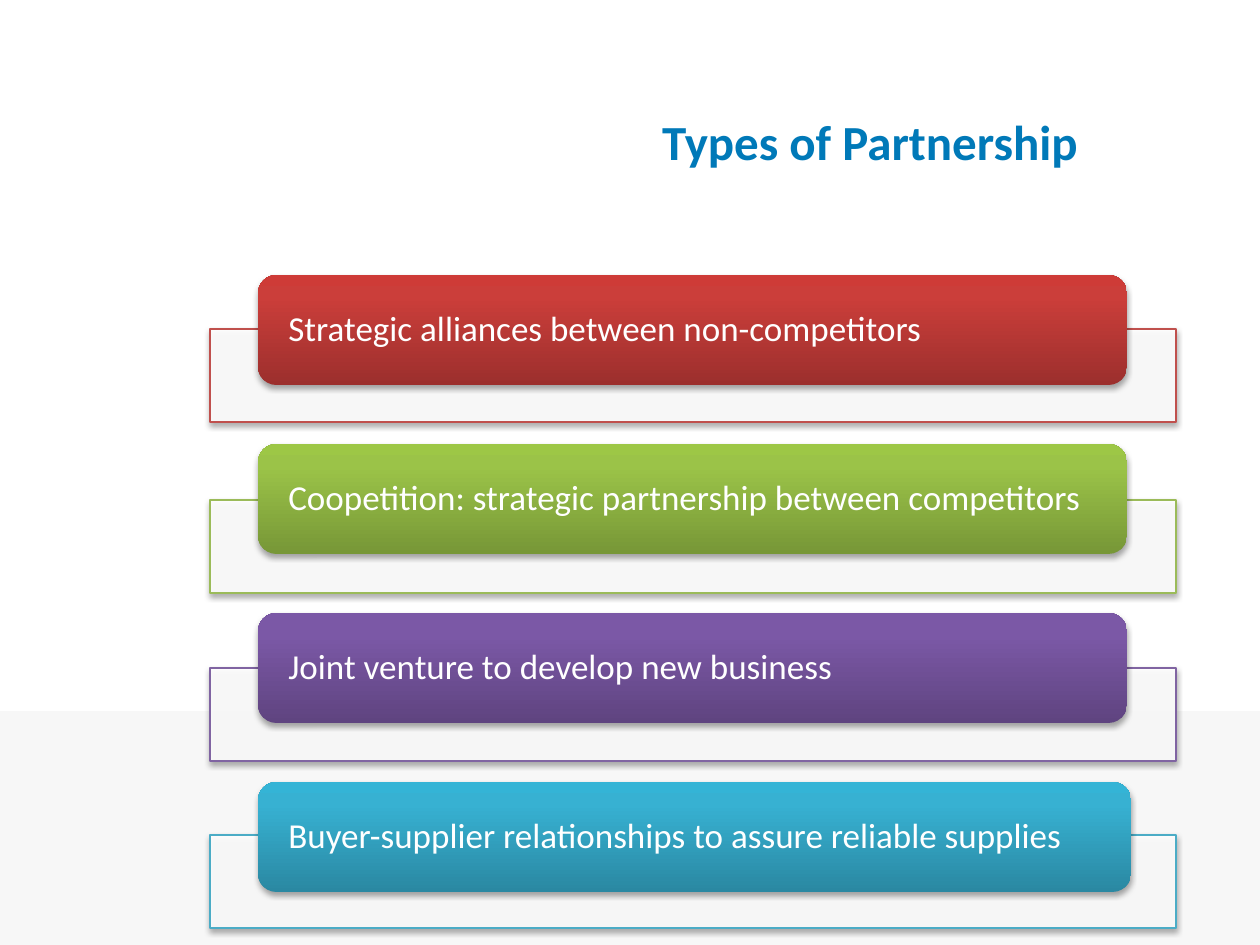
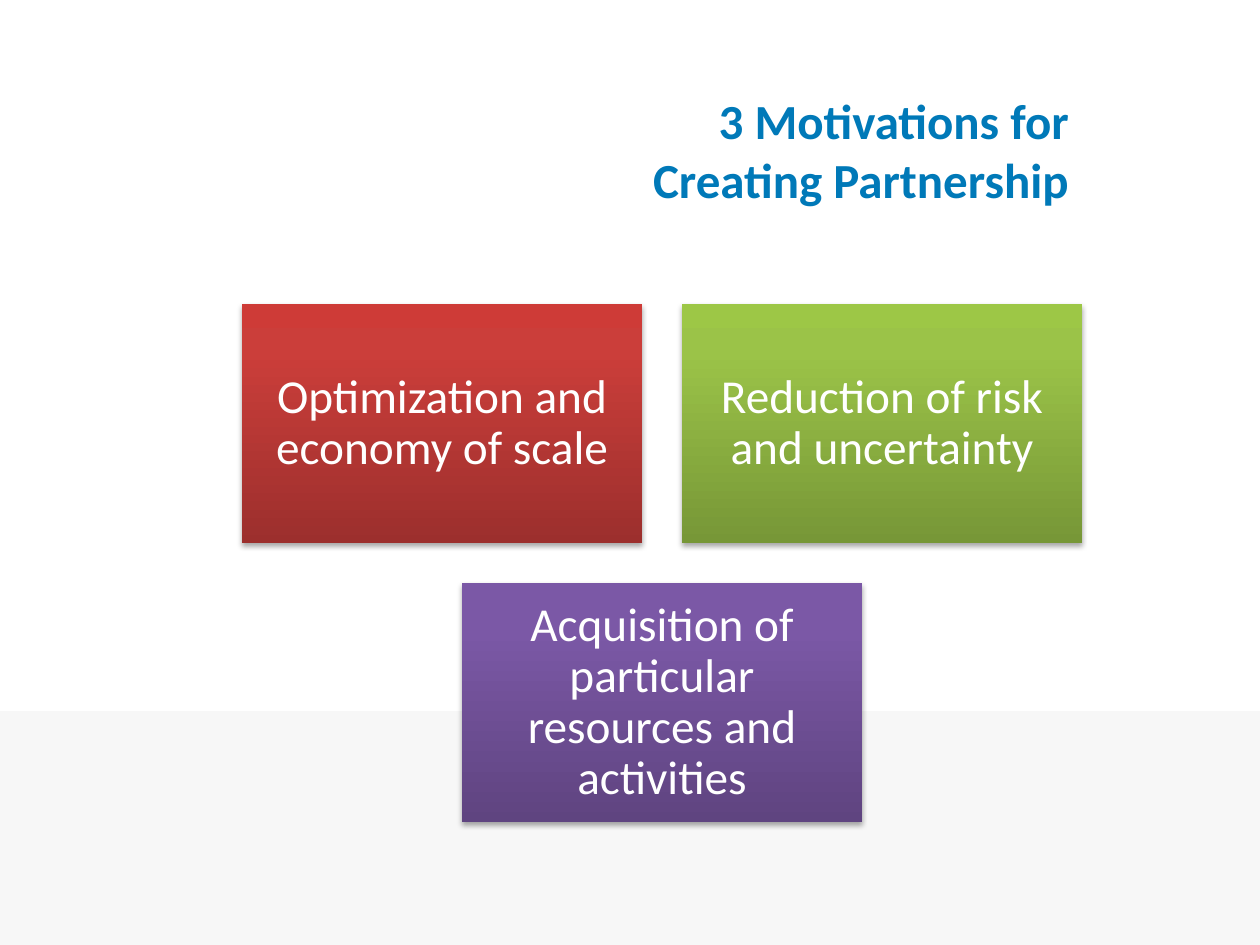
from lxml.etree import SubElement
from pptx import Presentation
from pptx.dml.color import RGBColor as RGB
from pptx.enum.shapes import MSO_SHAPE as SHAPE
from pptx.enum.text import MSO_ANCHOR as ANCHOR, MSO_AUTO_SIZE as AUTO, PP_ALIGN as ALIGN
from pptx.oxml.ns import qn
from pptx.util import Pt

PX = 914400 / 126
W, H = 1260, 945
FONT = "Calibri"
COLORS = {"white": "FFFFFF", "band": "F7F7F7", "title": "0079B8", "shadow": "000000",
          "red": "C0504D", "green": "9BBB59", "purple": "8064A2", "blue": "4BACC6"}
GRADIENTS = {"red": ("9C2F2D", "CB3E3A", "CE3B37"),
             "green": ("779737", "9BC348", "9DC746"),
             "purple": ("5F4480", "7B58A6", "7C57A8"),
             "blue": ("2A88A2", "37B1D2", "34B4D6")}
STOPS = (0, 80000, 100000)


def px(*values):
    return [round(v * PX) for v in values]


def rgb(name):
    return RGB.from_string(COLORS[name])


def add_run(p, text, size, color, bold=False):
    r = p.add_run()
    r.text = text
    r.font.name, r.font.size, r.font.bold = FONT, Pt(size), bold
    r.font.color.rgb = rgb(color)


def add_box(s, kind, box, fill=None):
    sp = s.shapes.add_shape(kind, *px(*box))
    sp.shadow.inherit = False
    sp.line.fill.background()
    if fill:
        sp.fill.solid()
        sp.fill.fore_color.rgb = rgb(fill)
    return sp


def add_alpha(clr, percent):
    SubElement(clr, qn("a:alpha"), val=str(percent * 1000))


def add_shadow(sp):
    effects = sp._element.spPr.find(qn("a:effectLst"))
    shadow = SubElement(effects, qn("a:outerShdw"), blurRad="40000", dist="23000",
                        dir="5400000", rotWithShape="0")
    add_alpha(SubElement(shadow, qn("a:srgbClr"), val=COLORS["shadow"]), 35)


def set_gradient(sp, name):
    sp.fill.gradient()
    sp.fill.gradient_angle = 90
    stops = sp._element.spPr.find(".//" + qn("a:gsLst"))
    for gs in list(stops):
        stops.remove(gs)
    for pos, color in zip(STOPS, GRADIENTS[name]):
        gs = SubElement(stops, qn("a:gs"), pos=str(pos))
        SubElement(gs, qn("a:srgbClr"), val=color)


def add_card(s, kind, box, color, text, size, align, insets):
    sp = add_box(s, kind, box)
    set_gradient(sp, color)
    add_shadow(sp)
    tf = sp.text_frame
    tf.word_wrap = True
    tf.vertical_anchor = ANCHOR.MIDDLE
    side, edge = px(*insets)
    tf.margin_left = tf.margin_right = side
    tf.margin_top = tf.margin_bottom = edge
    p = tf.paragraphs[0]
    p.alignment, p.line_spacing = align, 0.9
    add_run(p, text, size, "white")


def add_panel(s, top, color):
    sp = add_box(s, SHAPE.RECTANGLE, (210, top, 966, 93), "white")
    add_alpha(sp._element.spPr.find(".//" + qn("a:srgbClr")), 90)
    sp.line.color.rgb = rgb(color)
    sp.line.width = Pt(0.75)
    add_shadow(sp)


def add_title(s, box, lines):
    tf = s.shapes.add_textbox(*px(*box)).text_frame
    tf.word_wrap = False
    tf.auto_size = AUTO.SHAPE_TO_FIT_TEXT
    for i, line in enumerate(lines):
        p = tf.add_paragraph() if i else tf.paragraphs[0]
        p.alignment = ALIGN.RIGHT
        add_run(p, line, 28, "title", bold=True)


def new_slide(prs):
    s = prs.slides.add_slide(prs.slide_layouts[6])
    add_box(s, SHAPE.RECTANGLE, (0, 711, W, H - 711), "band")
    return s


def types_slide(prs):
    s = new_slide(prs)
    partnerships = [
        ("red", 329, 869, "Strategic alliances between non-competitors"),
        ("green", 500, 869, "Coopetition: strategic partnership between competitors"),
        ("purple", 668, 869, "Joint venture to develop new business"),
        ("blue", 835, 873, "Buyer-supplier relationships to assure reliable supplies")]
    for i, (color, panel_top, width, text) in enumerate(partnerships):
        add_panel(s, panel_top, color)
        add_card(s, SHAPE.ROUNDED_RECTANGLE, (258, 275 + 169 * i, width, 110), color,
                 text, 20, ALIGN.LEFT, (25, 0))
    add_title(s, (644, 105, 446, 72), ["Types of Partnership"])


def motivations_slide(prs):
    s = new_slide(prs)
    width, height, gap = 400, 239, 40
    left, top = 242, 304
    motivations = [
        ("red", 0, 0, "Optimization and economy of scale"),
        ("green", 1, 0, "Reduction of risk and uncertainty"),
        ("purple", 0.5, 1, "Acquisition of particular resources and activities")]
    for color, col, row, text in motivations:
        box = (left + col * (width + gap), top + row * (height + gap), width, height)
        add_card(s, SHAPE.RECTANGLE, box, color, text, 27, ALIGN.CENTER, (14, 14))
    add_title(s, (635, 84, 446, 131), ["3 Motivations for", "Creating Partnership"])


def main():
    prs = Presentation()
    prs.slide_width, prs.slide_height = px(W, H)
    types_slide(prs)
    motivations_slide(prs)
    prs.save("out.pptx")


if __name__ == "__main__":
    main()
